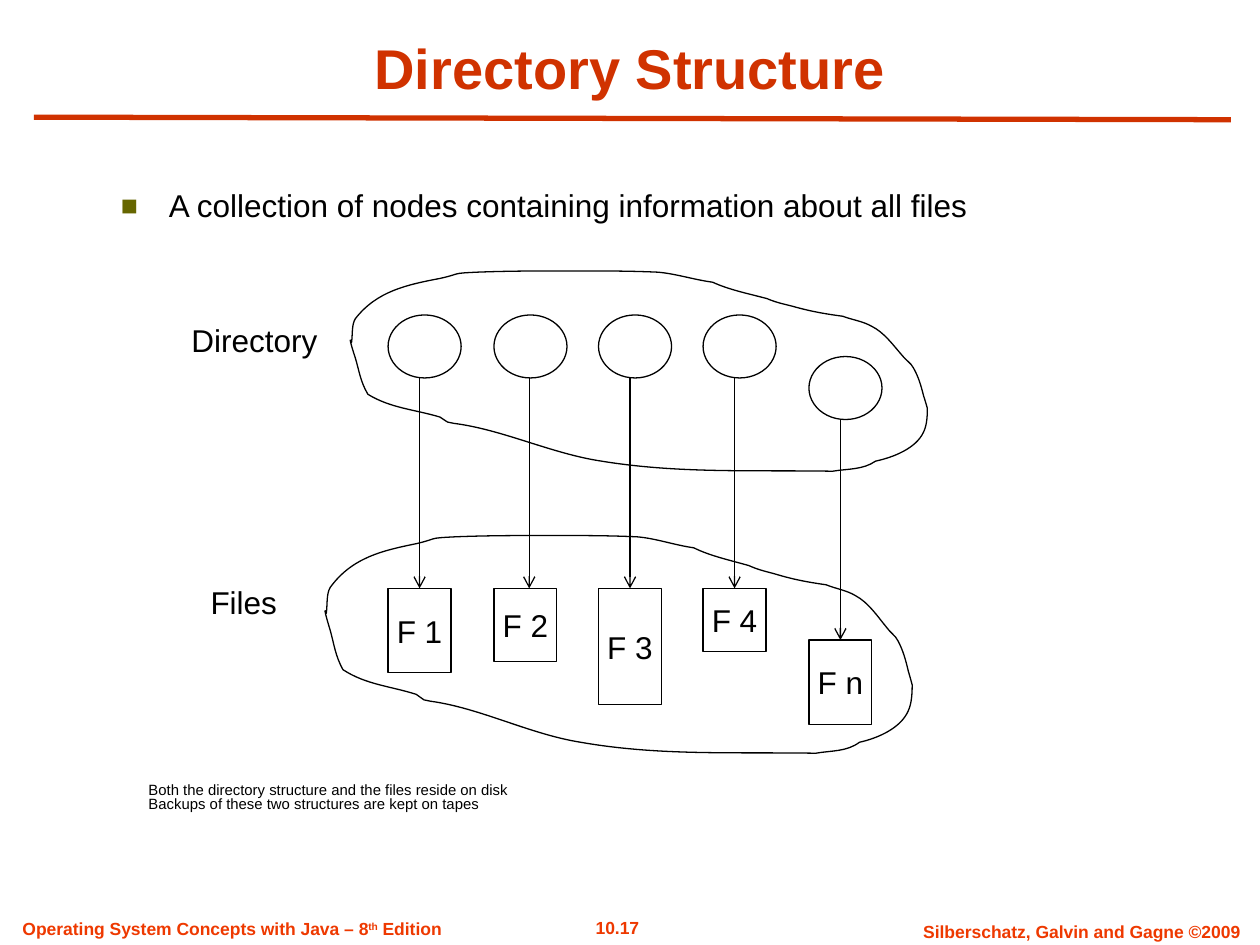
from dataclasses import dataclass
from typing import NamedTuple

from lxml import etree
from pptx import Presentation, util as u
from pptx.dml.color import RGBColor as Rgb
from pptx.enum import shapes as es, text as et
from pptx.oxml import ns

PX = 9144  # EMU per px, 100 px to the inch


@dataclass(frozen=True)
class Theme:
    font: str = "Arial"
    ink: str = "000000"
    paper: str = "FFFFFF"
    head: str = "D03200"
    foot: str = "EE3900"
    mark: str = "666600"
    title: float = 32
    body: float = 18
    note: float = 8.5
    small: float = 10
    thin: float = 0.75
    thick: float = 3


class Box(NamedTuple):
    x: int
    y: int
    w: int
    h: int

    def emu(self) -> list[int]:
        return [v * PX for v in self]


class Label(NamedTuple):
    box: Box
    runs: tuple[str, ...]
    size: float
    color: str
    bold: bool = False
    wrap: bool = False
    center: bool = True
    middle: bool = False


class File(NamedTuple):
    name: str
    node: int  # top of the directory node
    top: int
    high: int
    off: int = 25  # arrow, from the left edge


T = Theme()
FILES = [
    File("F 1", 250, 467, 67),
    File("F 2", 250, 467, 58, 28),
    File("F 3", 250, 467, 92),
    File("F 4", 250, 467, 50),
    File("F n", 283, 508, 67),
]
FOOT = [
    Label(Box(437, 723, 106, 27), ("10.17",), T.small, T.foot, True),
    Label(Box(710, 726, 297, 27), ("Silberschatz, Galvin and Gagne ©2009",),
          T.small, T.foot, True, wrap=True),
    Label(Box(8, 724, 358, 27),
          ("Operating System Concepts with Java – 8", "^th", " Edition"),
          T.small, T.foot, True, center=False),
]
NAMES = [
    Label(Box(142, 250, 120, 40), ("Directory",), T.body, T.ink, middle=True),
    Label(Box(157, 458, 73, 40), ("Files",), T.body, T.ink, middle=True),
]
NOTES = ["Both the directory structure and the files reside on disk",
         "Backups of these two structures are kept on tapes"]

# Cloud outline: a start, then two handles and an end for each curve
CLOUD = [
    (279, 272), (280, 265), (279, 258), (282, 253), (299, 231), (323, 226), (349, 221),
    (367, 217), (357, 217), (379, 216), (404, 215), (429, 215), (455, 215),
    (477, 215), (499, 215), (521, 216), (535, 217), (550, 222), (565, 224),
    (578, 230), (593, 233), (608, 237), (615, 240), (620, 241), (628, 243),
    (642, 247), (653, 249), (668, 251), (676, 254), (684, 255), (691, 259),
    (701, 264), (708, 274), (715, 282), (718, 286), (722, 288), (724, 292),
    (728, 299), (730, 306), (732, 314), (733, 317), (735, 324), (735, 324),
    (735, 328), (735, 337), (732, 343), (726, 356), (708, 363), (694, 366),
    (684, 373), (672, 372), (660, 374), (596, 373), (538, 376), (477, 366),
    (437, 360), (399, 341), (360, 336), (358, 336), (357, 335), (355, 335),
    (353, 334), (351, 332), (349, 331), (329, 325), (310, 324), (292, 313),
    (286, 303), (285, 294), (282, 284), (282, 284), (278, 272), (278, 270),
    (278, 269), (279, 271), (279, 272),
]
HOME = Box(278, 215, 457, 161)
CLOUDS = [Box(278, 215, 458, 161), Box(258, 425, 466, 175)]


def add_run(para, words: str, size: float, color: str, bold: bool = False) -> None:
    run = para.add_run()
    run.text = words.removeprefix("^")
    font = run.font
    font.name, font.size, font.bold = T.font, u.Pt(size), bold
    font.color.rgb = Rgb.from_string(color)
    if words.startswith("^"):
        run._r.get_or_add_rPr().set("baseline", "30000")


def add_label(slide, lab: Label) -> None:
    frame = slide.shapes.add_textbox(*lab.box.emu()).text_frame
    frame.word_wrap, frame.auto_size = lab.wrap, et.MSO_AUTO_SIZE.SHAPE_TO_FIT_TEXT
    if lab.middle:
        frame.vertical_anchor = et.MSO_ANCHOR.MIDDLE
    para = frame.paragraphs[0]
    para.alignment = et.PP_ALIGN.CENTER if lab.center else et.PP_ALIGN.LEFT
    for words in lab.runs:
        add_run(para, words, lab.size, lab.color, lab.bold)


def add_line(slide, ends: tuple[int, ...], color: str, wide: float, arrow: bool = False):
    line = slide.shapes.add_connector(es.MSO_CONNECTOR.STRAIGHT, *(v * PX for v in ends))
    line.line.color.rgb, line.line.width = Rgb.from_string(color), u.Pt(wide)
    if arrow:
        tail = etree.SubElement(line.line._get_or_add_ln(), ns.qn("a:tailEnd"))
        tail.set("type", "arrow")
    etree.SubElement(line._element.spPr, ns.qn("a:effectLst"))
    return line


def outline(shape) -> None:
    shape.shadow.inherit = False
    shape.line.color.rgb, shape.line.width = Rgb.from_string(T.ink), u.Pt(T.thin)


def add_solid(slide, kind, box: Box):
    shape = slide.shapes.add_shape(kind, *box.emu())
    outline(shape)
    shape.fill.solid()
    shape.fill.fore_color.rgb = Rgb.from_string(T.paper)
    return shape


def add_file(slide, col: int, file: File) -> None:
    x = round((925 + 250 * col) / 3)
    add_solid(slide, es.MSO_SHAPE.OVAL, Box(x, file.node, 58, 50))
    box = add_solid(slide, es.MSO_SHAPE.RECTANGLE, Box(x, file.top, 50, file.high))
    frame = box.text_frame
    frame.word_wrap, frame.vertical_anchor = False, et.MSO_ANCHOR.MIDDLE
    frame.paragraphs[0].alignment = et.PP_ALIGN.CENTER
    add_run(frame.paragraphs[0], file.name, T.body, T.ink)
    mid = x + file.off
    line = add_line(slide, (mid, file.node + 50, mid, file.top), T.ink, T.thin, True)
    if file.off == 25:
        line.end_connect(box, 0)


def add_cloud(slide, box: Box) -> None:
    pts = [(round((box.x + (x - HOME.x) * box.w / HOME.w) * PX),
            round((box.y + (y - HOME.y) * box.h / HOME.h) * PX)) for x, y in CLOUD]
    pen = slide.shapes.build_freeform(*pts[0])
    pen.add_line_segments(pts[1:], close=True)
    shape = pen.convert_to_shape()
    outline(shape)
    shape.fill.background()
    # Every three straight steps become one curve
    steps = list(shape._element.iter(ns.qn("a:lnTo")))
    for first, second, end in zip(steps[::3], steps[1::3], steps[2::3]):
        first.tag = ns.qn("a:cubicBezTo")
        for step in (second, end):
            first.append(step[0])
            step.getparent().remove(step)


def fill_holder(holder, box: Box, words: str, size: float, color: str, bold: bool, anchor):
    holder.left, holder.top, holder.width, holder.height = box.emu()
    frame = holder.text_frame
    frame.auto_size, frame.vertical_anchor = et.MSO_AUTO_SIZE.NONE, anchor
    add_run(frame.paragraphs[0], words, size, color, bold)
    return frame.paragraphs[0]


def add_bullet(para) -> None:
    props = para._p.get_or_add_pPr()
    props.set("marL", str(38 * PX))
    props.set("indent", str(-38 * PX))
    tint = etree.SubElement(props, ns.qn("a:buClr"))
    etree.SubElement(tint, ns.qn("a:srgbClr")).set("val", T.mark)
    for tag, key, val in (("a:buSzPct", "val", "90000"), ("a:buFont", "typeface", T.font),
                          ("a:buChar", "char", "■")):
        etree.SubElement(props, ns.qn(tag)).set(key, val)


def main() -> None:
    deck = Presentation()
    deck.slide_width, deck.slide_height = 1000 * PX, 750 * PX
    slide = deck.slides.add_slide(deck.slide_layouts[1])
    # Footer and rule
    for lab in FOOT:
        add_label(slide, lab)
    add_line(slide, (27, 93, 977, 95), T.head, T.thick)
    # Title and bullet
    head = fill_holder(slide.shapes.title, Box(50, 22, 900, 63), "Directory Structure",
                       T.title, T.head, True, et.MSO_ANCHOR.BOTTOM)
    head.alignment = et.PP_ALIGN.CENTER
    item = fill_holder(slide.placeholders[1], Box(86, 146, 757, 39),
                       "A collection of nodes containing information about all files",
                       T.body, T.ink, False, et.MSO_ANCHOR.TOP)
    add_bullet(item)
    item.line_spacing, item.space_before = 0.9, u.Pt(0)
    # Diagram
    for col, file in enumerate(FILES):
        add_file(slide, col, file)
    for box in CLOUDS:
        add_cloud(slide, box)
    for lab in NAMES:
        add_label(slide, lab)
    # Notes under the diagram
    frame = slide.shapes.add_textbox(*Box(108, 617, 819, 42).emu()).text_frame
    frame.word_wrap = True
    for i, words in enumerate(NOTES):
        para = frame.add_paragraph() if i else frame.paragraphs[0]
        para.line_spacing = 0.8
        add_run(para, words, T.note, T.ink)
    deck.save("out.pptx")


if __name__ == "__main__":
    main()
